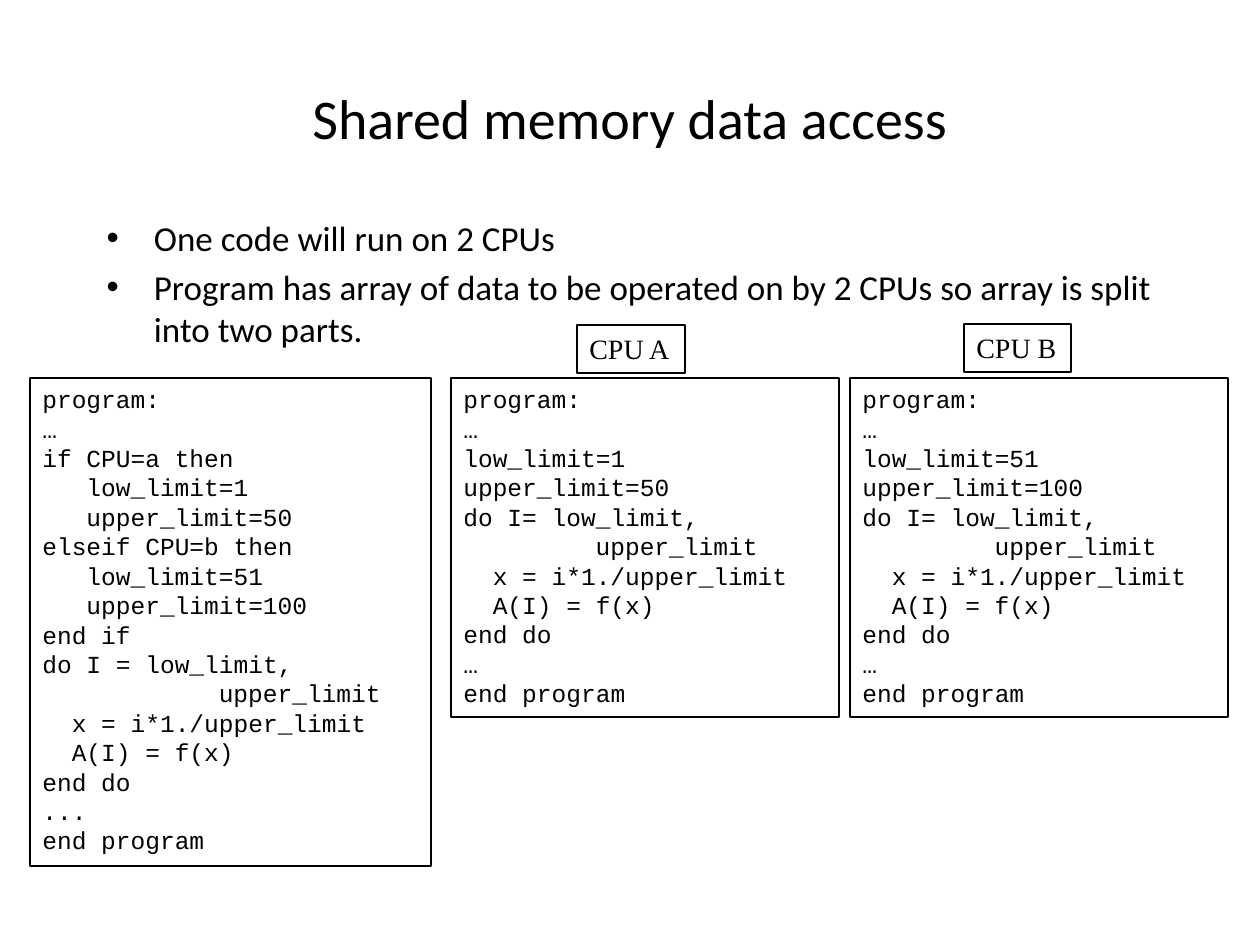
from pptx import Presentation
from pptx.dml.color import RGBColor
from pptx.enum.shapes import MSO_SHAPE
from pptx.enum.text import MSO_ANCHOR, MSO_AUTO_SIZE, PP_ALIGN
from pptx.util import Emu, Pt

RECTANGLE = MSO_SHAPE.RECTANGLE
TOP, MIDDLE = MSO_ANCHOR.TOP, MSO_ANCHOR.MIDDLE
LEFT, CENTER = PP_ALIGN.LEFT, PP_ALIGN.CENTER
NO_FIT, GROW = MSO_AUTO_SIZE.NONE, MSO_AUTO_SIZE.SHAPE_TO_FIT_TEXT

PX_PER_INCH = 126
BLACK = "000000"
CODE_SIZE = 14
CODE_COLUMN = 0.6 * CODE_SIZE  # width of one monospaced character, in points

BRANCHING_CODE = """\
program:
…
if CPU=a then
   low_limit=1
   upper_limit=50
elseif CPU=b then
   low_limit=51
   upper_limit=100
end if
do I = low_limit,
            upper_limit
  x = i*1./upper_limit
  A(I) = f(x)
end do
...
end program"""

CPU_CODE = """\
program:
…
low_limit={low}
upper_limit={high}
do I= low_limit,
         upper_limit
  x = i*1./upper_limit
  A(I) = f(x)
end do
…
end program"""


def px(length):
    return Emu(round(length * 914400 / PX_PER_INCH))


def color(hex_string):
    return RGBColor.from_string(hex_string)


def place(shape, box):
    shape.left, shape.top, shape.width, shape.height = map(px, box)


def style(paragraph, font_name, size, align=LEFT):
    paragraph.alignment = align
    paragraph.font.name = font_name
    paragraph.font.size = Pt(size)
    paragraph.font.color.rgb = color(BLACK)


def fill_placeholder(placeholder, box, lines, size, align, anchor):
    place(placeholder, box)
    frame = placeholder.text_frame
    frame.text = "\n".join(lines)
    frame.auto_size = NO_FIT
    frame.vertical_anchor = anchor
    for paragraph in frame.paragraphs:
        style(paragraph, "Calibri", size, align)


def add_frame(slide, box, text, wrap):
    outline = slide.shapes.add_shape(RECTANGLE, *map(px, box))
    outline.shadow.inherit = False
    outline.fill.background()
    outline.line.color.rgb = color(BLACK)
    outline.line.width = Pt(1)
    frame = outline.text_frame
    frame.text = text
    frame.word_wrap = wrap
    frame.auto_size = GROW
    frame.vertical_anchor = TOP
    return frame


def add_code(slide, box, code):
    lines = code.split("\n")
    stripped = [line.lstrip() for line in lines]
    frame = add_frame(slide, box, "\n".join(stripped), True)
    for paragraph, line, words in zip(frame.paragraphs, lines, stripped):
        style(paragraph, "Courier New", CODE_SIZE)
        # Leading columns of the code become a paragraph indent
        indent = Pt((len(line) - len(words)) * CODE_COLUMN)
        paragraph._p.get_or_add_pPr().set("marL", str(indent))


def add_cpu(slide, box, name, label_box, low, high):
    """Code as one CPU runs it; label_box is relative to the code box."""
    left, top = box[:2]
    dx, dy, width, height = label_box
    label = add_frame(slide, (left + dx, top + dy, width, height), name, False)
    style(label.paragraphs[0], "Times New Roman", 16)
    add_code(slide, box, CPU_CODE.format(low=low, high=high))


def main():
    deck = Presentation()
    deck.slide_width, deck.slide_height = px(1260), px(945)
    slide = deck.slides.add_slide(deck.slide_layouts[1])

    # Title and bullets
    fill_placeholder(slide.shapes.title, (63, 38, 1134, 158),
                     ["Shared memory data access"], 32, CENTER, MIDDLE)
    fill_placeholder(slide.placeholders[1], (94, 210, 1071, 598), [
        "One code will run on 2 CPUs",
        "Program has array of data to be operated on by 2 CPUs "
        "so array is split into two parts.",
    ], 20, LEFT, TOP)

    # Shared program, then the part each CPU runs
    add_code(slide, (30, 378, 401, 488), BRANCHING_CODE)
    add_cpu(slide, (451, 378, 388, 339), "CPU A", (126, -53, 108, 48), 1, 50)
    add_cpu(slide, (850, 378, 378, 339), "CPU B", (114, -54, 107, 48), 51, 100)

    deck.save("out.pptx")


if __name__ == "__main__":
    main()
